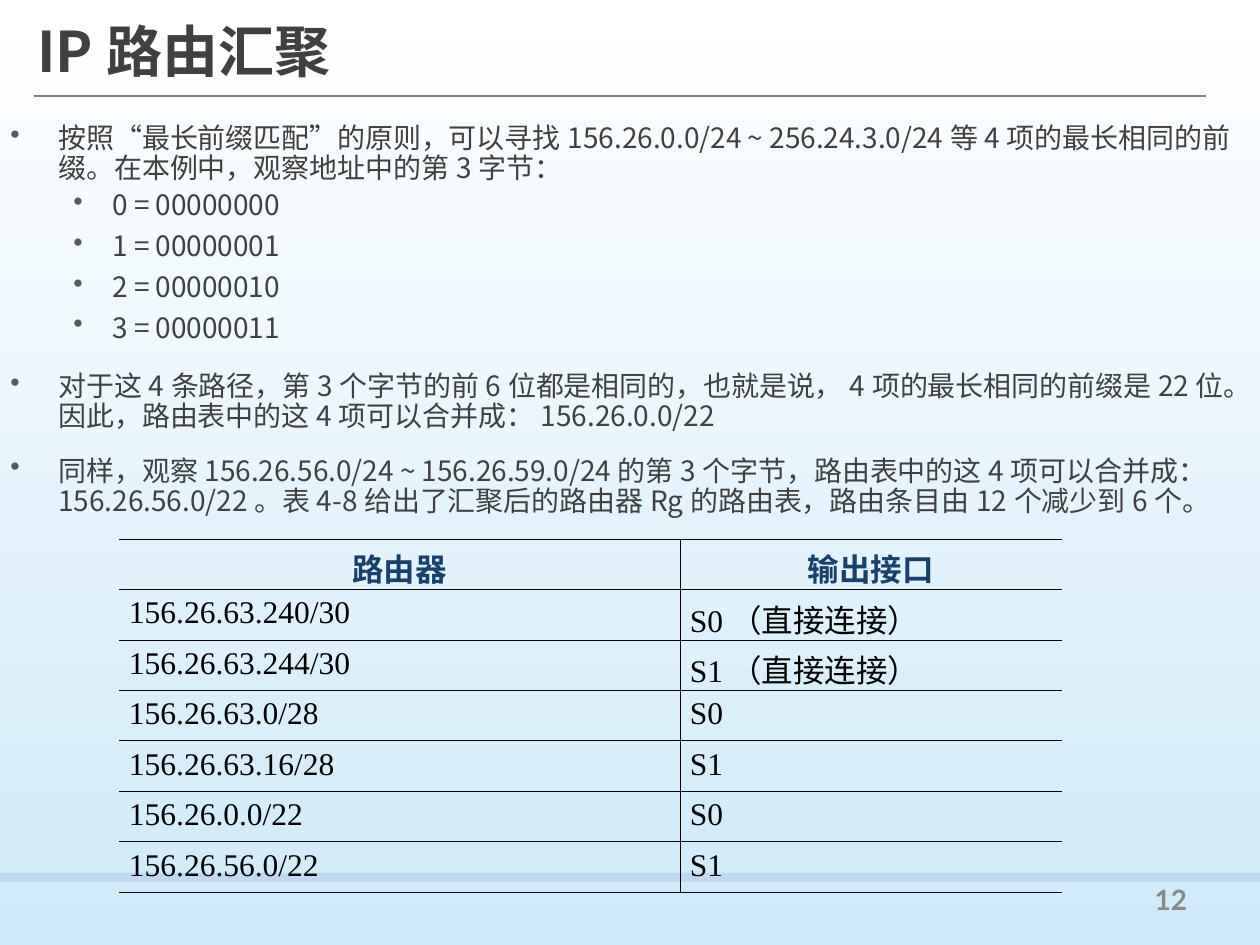
import pptx
import pptx.util
import pptx.dml.color
import pptx.enum.shapes
import pptx.enum.text
import pptx.oxml
import pptx.oxml.ns
import lxml.etree

PX = 914400 // 126
SANS, SERIF, NUMERAL = "Noto Sans CJK SC", "Times New Roman", "Lato"
INK, BULLET = "404040", "595959"
TITLE = "IP路由汇聚"
POINTS = [
    (0, "按照“最长前缀匹配”的原则，可以寻找156.26.0.0/24 ~ 256.24.3.0/24等4项的最长相同的前缀。在本例中，观察地址中的第3字节："),
    (1, "0 = 00000000"),
    (1, "1 = 00000001"),
    (1, "2 = 00000010"),
    (1, "3 = 00000011"),
    (0, "对于这4条路径，第3个字节的前6位都是相同的，也就是说，4项的最长相同的前缀是22位。因此，路由表中的这4项可以合并成：156.26.0.0/22"),
    (0, "同样，观察156.26.56.0/24 ~ 156.26.59.0/24的第3个字节，路由表中的这4项可以合并成：156.26.56.0/22。表4-8给出了汇聚后的路由器Rg的路由表，路由条目由12个减少到6个。"),
]
# level: left margin px, hanging px, space before pt, space after pt
LEVELS = {0: (48, 48, 12, 2), 1: (102, 39, 2, 4)}
ROUTES = [
    ("路由器", "输出接口"),
    ("156.26.63.240/30", "S0（直接连接）"),
    ("156.26.63.244/30", "S1（直接连接）"),
    ("156.26.63.0/28", "S0"),
    ("156.26.63.16/28", "S1"),
    ("156.26.0.0/22", "S0"),
    ("156.26.56.0/22", "S1"),
]
COLUMNS, ROW_HEIGHT = (561, 382), 46


def px(*lengths):
    return [length * PX for length in lengths]


def color(value):
    return pptx.dml.color.RGBColor.from_string(value)


def add_xml(parent, markup):
    namespace = pptx.oxml.ns.nsdecls("a")
    element = pptx.oxml.parse_xml(markup.replace("/>", f" {namespace}/>", 1)
                                  if markup.endswith("/>") and markup.count("<") == 1
                                  else markup.replace(">", f" {namespace}>", 1))
    parent.append(element)


def write(para, text, size, face, ink, bold=False):
    para.text = text
    font = para.font
    font.size, font.name, font.bold = pptx.util.Pt(size), face, bold
    font.color.rgb = color(ink)
    for span in para.runs:
        add_xml(span._r.get_or_add_rPr(), f'<a:ea typeface="{SANS}"/>')


def add_frame(page, *place):
    frame = page.shapes.add_textbox(*px(*place)).text_frame
    frame.word_wrap = True
    return frame


def space(para, before, after):
    para.line_spacing = 0.9
    para.space_before, para.space_after = pptx.util.Pt(before), pptx.util.Pt(after)


def add_points(page):
    frame = add_frame(page, -2, 118, 1257, 726)
    for index, (level, text) in enumerate(POINTS):
        para = frame.paragraphs[0] if index == 0 else frame.add_paragraph()
        margin, hanging, before, after = LEVELS[level]
        para.level = level
        space(para, before, after)
        props = para._p.get_or_add_pPr()
        props.set("marL", str(margin * PX))
        props.set("indent", str(-hanging * PX))
        add_xml(props, f'<a:buClr><a:srgbClr val="{BULLET}"/></a:buClr>')
        add_xml(props, '<a:buChar char="•"/>')
        write(para, text, 16, SANS, INK)


def add_routes(page):
    place = px(119, 539, sum(COLUMNS), ROW_HEIGHT * len(ROUTES))
    table = page.shapes.add_table(len(ROUTES), len(COLUMNS), *place).table
    table.first_row = table.horz_banding = False
    for column, width in zip(table.columns, COLUMNS):
        column.width = width * PX
    for r, route in enumerate(ROUTES):
        table.rows[r].height = ROW_HEIGHT * PX
        for c, text in enumerate(route):
            cell = table.cell(r, c)
            cell.margin_left = cell.margin_right = 10 * PX
            para = cell.text_frame.paragraphs[0]
            align = pptx.enum.text.PP_ALIGN
            para.alignment = align.CENTER if r == 0 else align.JUSTIFY
            write(para, text, 18, SERIF, "17406D" if r == 0 else "000000", r == 0)
            inner = "R" if c == 0 else "L"
            for side in "LRTB":
                paint = ('<a:solidFill><a:srgbClr val="000000"/></a:solidFill>'
                         if side in inner + "TB" else "<a:noFill/>")
                add_xml(cell._tc.get_or_add_tcPr(), f'<a:ln{side} w="5715">{paint}</a:ln{side}>')
            cell.fill.background()


def main():
    """Build the route aggregation slide."""
    deck = pptx.Presentation()
    deck.slide_width, deck.slide_height = px(1260, 945)
    page = deck.slides.add_slide(deck.slide_layouts[6])
    backdrop = page.background.fill
    backdrop.gradient()
    backdrop.gradient_angle = 270
    for stop, tint in zip(backdrop.gradient_stops, ("FFFFFF", "CEEAF9")):
        stop.color.rgb = color(tint)

    band = page.shapes.add_shape(pptx.enum.shapes.MSO_SHAPE.RECTANGLE, *px(0, 873, 1260, 9))
    band.shadow.inherit = False
    band.fill.solid()
    band.fill.fore_color.rgb = color("C0D8F1")
    band.line.fill.background()

    rule = page.shapes.add_connector(pptx.enum.shapes.MSO_CONNECTOR.STRAIGHT, *px(34, 96, 1206, 96))
    rule.line.color.rgb = color("7F7F7F")
    rule.line.width = pptx.util.Pt(1.25)
    add_xml(rule._element.spPr, "<a:effectLst/>")

    add_points(page)
    heading = add_frame(page, 25, 18, 1131, 82).paragraphs[0]
    space(heading, 12, 2)
    write(heading, TITLE, 32, SANS, INK, True)
    number = add_frame(page, 1126, 876, 90, 50).paragraphs[0]
    number.alignment = pptx.enum.text.PP_ALIGN.CENTER
    write(number, "12", 16, NUMERAL, "898989", True)
    add_routes(page)
    deck.save("out.pptx")


if __name__ == "__main__":
    main()
